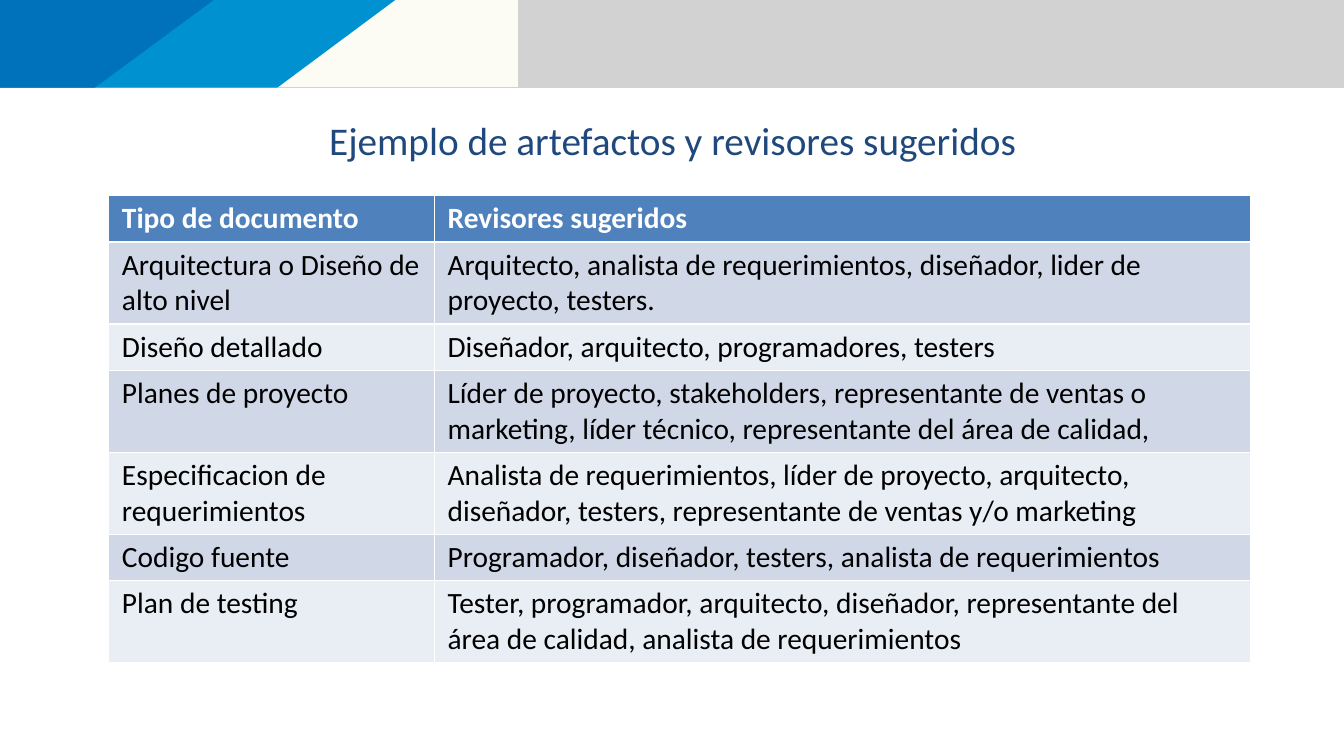
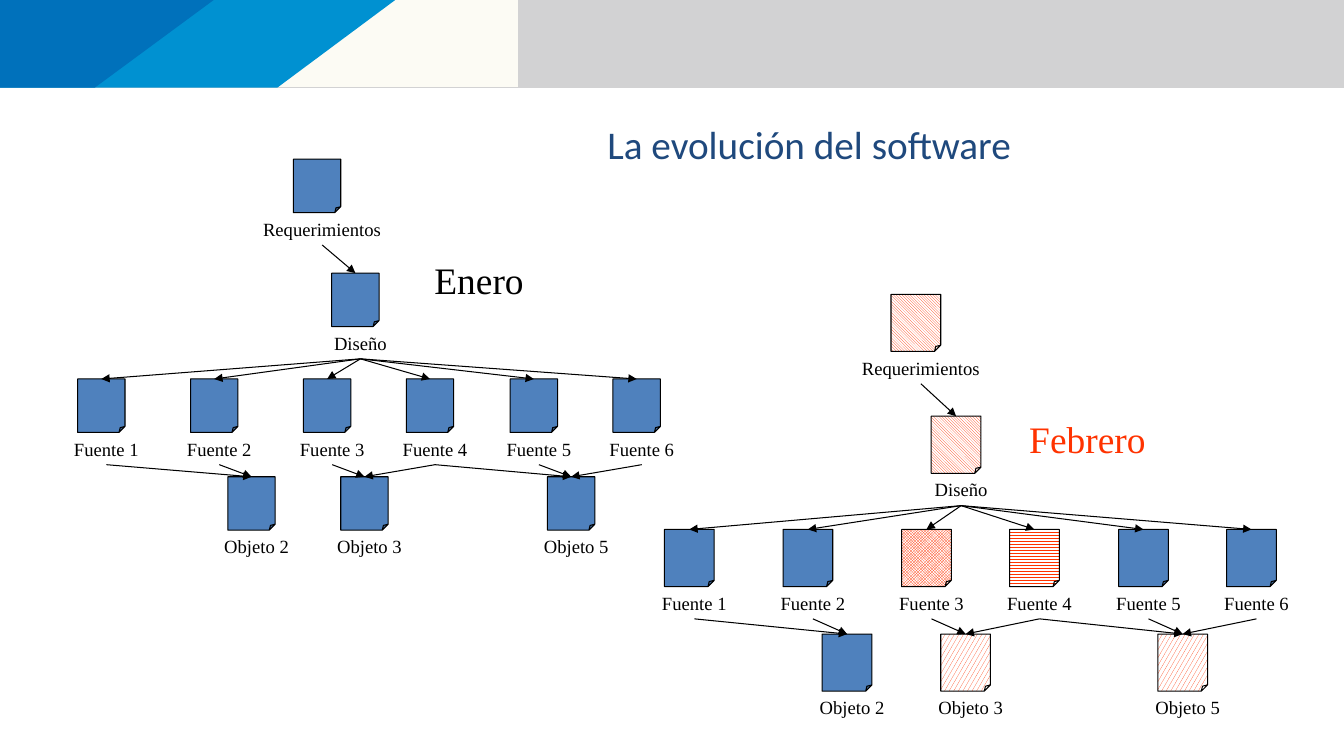
from lxml import etree
from pptx import Presentation
from pptx.dml.color import RGBColor
from pptx.enum.dml import MSO_PATTERN
from pptx.enum.shapes import MSO_CONNECTOR, MSO_SHAPE
from pptx.enum.text import MSO_ANCHOR, MSO_AUTO_SIZE, PP_ALIGN
from pptx.oxml.ns import qn
from pptx.util import Inches, Pt

COLORS = {
    "gray": "D2D2D3", "cream": "FCFBF4", "sky": "0091D1", "blue": "0071BB",
    "title": "1F497D", "accent": "4F81BD", "row_odd": "D0D8E8", "row_even": "E9EDF4",
    "white": "FFFFFF", "black": "000000", "changed": "FF3300",
}
SANS, SERIF = "Calibri", "Times New Roman"

BANDS = [
    ("gray", [(0, 0), (13.33, 0), (13.33, 0.87), (0, 0.87)]),
    ("cream", [(0, -0.02), (5.14, -0.02), (5.14, 0.86), (0, 0.86)]),
    ("sky", [(0, 0), (3.92, 0), (2.75, 0.87), (0, 0.87)]),
    ("blue", [(0, 0), (2.12, 0), (0.94, 0.87), (0, 0.87)]),
]

REVIEWERS = [
    ("Tipo de documento", "Revisores sugeridos"),
    ("Arquitectura o Diseño de alto nivel",
     "Arquitecto, analista de requerimientos, diseñador, lider de proyecto, testers."),
    ("Diseño detallado", "Diseñador, arquitecto, programadores, testers"),
    ("Planes de proyecto",
     "Líder de proyecto, stakeholders, representante de ventas o marketing, "
     "líder técnico, representante del área de calidad,"),
    ("Especificacion de requerimientos",
     "Analista de requerimientos, líder de proyecto, arquitecto, diseñador, "
     "testers, representante de ventas y/o marketing"),
    ("Codigo fuente", "Programador, diseñador, testers, analista de requerimientos"),
    ("Plan de testing",
     "Tester, programador, arquitecto, diseñador, representante del área de calidad, "
     "analista de requerimientos"),
]
ROW_HEIGHTS = [0.46, 0.81, 0.46, 0.81, 0.81, 0.46, 0.81]

# Document positions, relative to the tree's box, before scaling
DOCUMENTS = {
    "Requerimientos": (2.14, 0), "Diseño": (2.52, 1.13),
    "Fuente 1": (0, 2.18), "Fuente 2": (1.12, 2.18), "Fuente 3": (2.24, 2.18),
    "Fuente 4": (3.26, 2.18), "Fuente 5": (4.29, 2.18), "Fuente 6": (5.31, 2.18),
    "Objeto 2": (1.49, 3.15), "Objeto 3": (2.61, 3.15), "Objeto 5": (4.66, 3.15),
}
LINKS = [("Requerimientos", "Diseño")]
LINKS += [("Diseño", f"Fuente {n}") for n in range(1, 7)]
LINKS += [(f"Fuente {a}", f"Objeto {b}")
          for a, b in [(1, 2), (2, 2), (3, 3), (4, 3), (4, 5), (5, 5), (6, 5)]]
FEBRUARY_CHANGES = {
    "Requerimientos": MSO_PATTERN.DARK_DOWNWARD_DIAGONAL,
    "Diseño": MSO_PATTERN.DARK_DOWNWARD_DIAGONAL,
    "Fuente 3": MSO_PATTERN.SMALL_CHECKER_BOARD,
    "Fuente 4": MSO_PATTERN.ZIG_ZAG,
    "Objeto 3": MSO_PATTERN.LARGE_CONFETTI,
    "Objeto 5": MSO_PATTERN.LARGE_CONFETTI,
}


def rgb(name):
    return RGBColor.from_string(COLORS[name])


def write(tf, text, *, size, font=SANS, color="black", bold=False, align=PP_ALIGN.LEFT):
    p = tf.paragraphs[0]
    p.alignment = align
    r = p.add_run()
    r.text = text
    r.font.name, r.font.size, r.font.bold = font, Pt(size), bold
    r.font.color.rgb = rgb(color)


def add_text(slide, box, text, *, wrap=True, **fmt):
    s = slide.shapes.add_textbox(*map(Inches, box))
    s.text_frame.word_wrap = wrap
    write(s.text_frame, text, **fmt)
    return s


def move_bands_to_master(prs, slide):
    """Build the header bands on a slide, then place them behind the master's parts."""
    tree = prs.slide_master.shapes._spTree
    for i, (color, points) in enumerate(BANDS):
        start, *rest = [(Inches(x), Inches(y)) for x, y in points]
        builder = slide.shapes.build_freeform(*start)
        builder.add_line_segments(rest, close=True)
        s = builder.convert_to_shape()
        s.shadow.inherit = False
        s.fill.solid()
        s.fill.fore_color.rgb = rgb(color)
        s.line.fill.background()
        tree.insert(2 + i, s._element)


def add_title(slide, box, text):
    s = slide.shapes.title
    s.left, s.top, s.width, s.height = map(Inches, box)
    tf = s.text_frame
    tf.margin_left = tf.margin_right = tf.margin_top = tf.margin_bottom = 0
    tf.vertical_anchor = MSO_ANCHOR.MIDDLE
    tf.auto_size = MSO_AUTO_SIZE.NONE
    write(tf, text, size=28, color="title", align=PP_ALIGN.CENTER)


def add_reviewer_table(slide, x, y, widths):
    table = slide.shapes.add_table(
        len(REVIEWERS), len(widths), Inches(x), Inches(y),
        Inches(sum(widths)), Inches(sum(ROW_HEIGHTS))).table
    for column, width in zip(table.columns, widths):
        column.width = Inches(width)
    for i, (row, height, texts) in enumerate(zip(table.rows, ROW_HEIGHTS, REVIEWERS)):
        row.height = Inches(height)
        fill = "accent" if i == 0 else "row_odd" if i % 2 else "row_even"
        for cell, text in zip(row.cells, texts):
            cell.margin_left = cell.margin_right = Inches(0.13)
            cell.fill.solid()
            cell.fill.fore_color.rgb = rgb(fill)
            write(cell.text_frame, text, size=21, bold=i == 0,
                  color="black" if i else "white")


def add_document(slide, box, name, label_width, pattern=None):
    """Draw a page with its caption and return both shapes."""
    x, y, w, h = box
    page = slide.shapes.add_shape(MSO_SHAPE.FOLDED_CORNER, *map(Inches, box))
    guides = page._element.spPr.find(qn("a:prstGeom")).find(qn("a:avLst"))
    etree.SubElement(guides, qn("a:gd"), name="adj", fmla="val 12500")
    page.shadow.inherit = False
    page.line.color.rgb = rgb("black")
    page.line.width = Pt(0.75)
    if pattern is None:
        page.fill.solid()
        page.fill.fore_color.rgb = rgb("accent")
    else:
        page.fill.patterned()
        page.fill.pattern = pattern
        page.fill.fore_color.rgb = rgb("changed")
        page.fill.back_color.rgb = rgb("white")
    label_x = x + w / 2 + 0.05 - label_width / 2
    label = add_text(slide, (label_x, y + h, label_width, 0.32), name,
                     size=13.3, font=SERIF, align=PP_ALIGN.CENTER)
    return page, label


def add_arrow(slide, start, end):
    """Join the bottom of one shape to the top of another."""
    c = slide.shapes.add_connector(MSO_CONNECTOR.STRAIGHT, 0, 0, 0, 0)
    c.begin_connect(start, 2)
    c.end_connect(end, 0)
    c.line.color.rgb = rgb("black")
    c.line.width = Pt(0.75)
    etree.SubElement(c.line._get_or_add_ln(), qn("a:tailEnd"), type="triangle")
    etree.SubElement(c._element.spPr, qn("a:effectLst"))


def add_tree(slide, x, y, scale_x=1, scale_y=1, changes=None):
    changes = changes or {}
    docs = {}
    for name, (dx, dy) in DOCUMENTS.items():
        box = (x + dx * scale_x, y + dy * scale_y, 0.47 * scale_x, 0.53 * scale_y)
        docs[name] = add_document(slide, box, name, 1.68 * scale_x, changes.get(name))
    for source, target in LINKS:
        add_arrow(slide, docs[source][1], docs[target][0])


def build_reviewers(slide):
    add_title(slide, (0.67, 1.15, 12, 0.47), "Ejemplo de artefactos y revisores sugeridos")
    add_reviewer_table(slide, 1.08, 1.94, (3.23, 8.09))


def build_evolution(slide):
    add_title(slide, (2.86, 1.14, 10.33, 0.58), "La evolución del software")
    add_tree(slide, 0.77, 1.58)
    add_text(slide, (4.21, 2.5, 1.09, 0.55), "Enero", wrap=False, size=26.7, font=SERIF)
    add_tree(slide, 6.59, 2.92, 1.05, 1.07, FEBRUARY_CHANGES)
    add_text(slide, (10.11, 4.08, 1.37, 0.55), "Febrero", wrap=False,
             size=26.7, font=SERIF, color="changed")


def main():
    prs = Presentation()
    prs.slide_width, prs.slide_height = Inches(13.33), Inches(7.5)
    title_only = prs.slide_layouts[5]
    slides = [prs.slides.add_slide(title_only) for _ in range(2)]
    move_bands_to_master(prs, slides[0])
    build_reviewers(slides[0])
    build_evolution(slides[1])
    prs.save("out.pptx")


if __name__ == "__main__":
    main()
